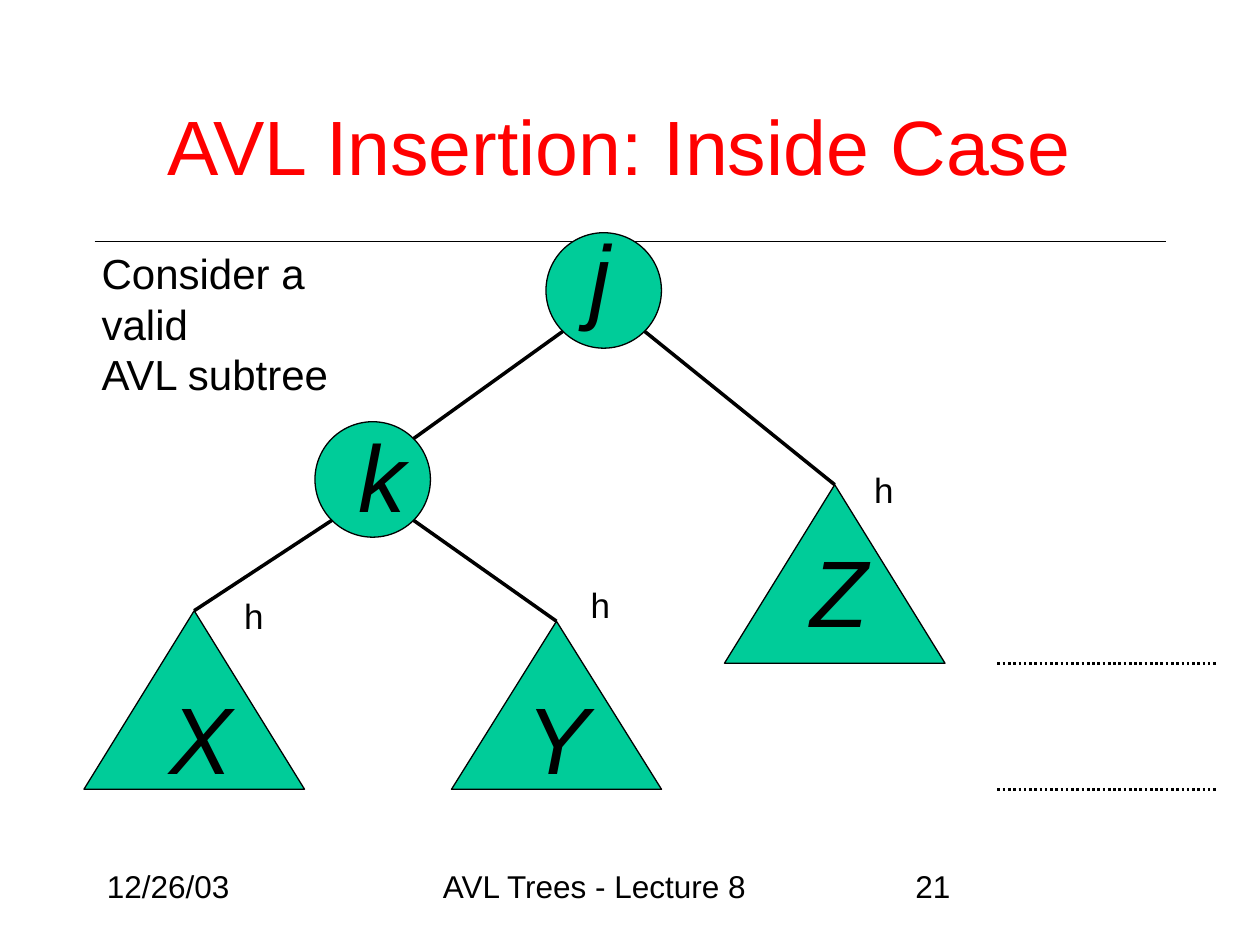
from dataclasses import dataclass
from math import sqrt

from lxml.etree import SubElement
from pptx import Presentation
from pptx.dml.color import RGBColor
from pptx.enum.dml import MSO_LINE
from pptx.enum.shapes import MSO_CONNECTOR, MSO_SHAPE
from pptx.enum.text import MSO_ANCHOR, PP_ALIGN
from pptx.oxml.ns import qn
from pptx.slide import Slide
from pptx.text.text import TextFrame
from pptx.util import Pt

COLORS = {"ink": "000000", "node": "00CC99", "title": "FF0000"}
FONT = "Arial"
Point = tuple[float, float]


@dataclass(frozen=True)
class Part:
    """A tree part: its outline box and the corner of its letter box."""
    letter: str
    left: float
    top: float
    width: float
    height: float
    letter_at: Point


@dataclass(frozen=True)
class Node(Part):
    preset = MSO_SHAPE.OVAL

    def corner(self, across: int, down: int) -> Point:
        """Point on the circle along a diagonal; each direction is -1 or 1."""
        reach = self.width / 2 / sqrt(2)
        return (self.left + self.width / 2 + across * reach,
                self.top + self.height / 2 + down * reach)


@dataclass(frozen=True)
class Subtree(Part):
    height_at: Point
    preset = MSO_SHAPE.ISOSCELES_TRIANGLE

    @property
    def apex(self) -> Point:
        return self.left + self.width / 2, self.top

    @property
    def base(self) -> float:
        return self.top + self.height


@dataclass(frozen=True)
class Label:
    text: str
    left: float
    top: float
    width: float
    height: float
    size: float
    italic: bool = False
    wrap: bool = True


def rgb(color: str) -> RGBColor:
    return RGBColor.from_string(COLORS[color])


def format_text(frame: TextFrame, size: float, color: str = "ink",
                italic: bool = False) -> None:
    for paragraph in frame.paragraphs:
        for run in paragraph.runs:
            run.font.name = FONT
            run.font.size = Pt(size)
            run.font.italic = italic
            run.font.color.rgb = rgb(color)


def draw_label(slide: Slide, label: Label) -> None:
    box = slide.shapes.add_textbox(Pt(label.left), Pt(label.top),
                                   Pt(label.width), Pt(label.height))
    box.text_frame.word_wrap = label.wrap
    box.text_frame.text = label.text
    format_text(box.text_frame, label.size, italic=label.italic)


def draw_part(slide: Slide, part: Node | Subtree) -> None:
    outline = slide.shapes.add_shape(part.preset, Pt(part.left), Pt(part.top),
                                     Pt(part.width), Pt(part.height))
    outline.shadow.inherit = False
    outline.fill.solid()
    outline.fill.fore_color.rgb = rgb("node")
    outline.line.color.rgb = rgb("ink")
    outline.line.width = Pt(0.75)
    draw_label(slide, Label(part.letter, *part.letter_at, 40, 72, 54, italic=True))


def draw_line(slide: Slide, start: Point, end: Point, width: float,
              dash: MSO_LINE | None = None) -> None:
    line = slide.shapes.add_connector(
        MSO_CONNECTOR.STRAIGHT, *(Pt(length) for length in (*start, *end)))
    line.line.color.rgb = rgb("ink")
    line.line.width = Pt(width)
    if dash is not None:
        line.line.dash_style = dash
    SubElement(line._element.spPr, qn("a:effectLst"))


def draw_title(slide: Slide, text: str) -> None:
    title = slide.shapes.title
    title.left, title.top, title.width, title.height = Pt(52.5), Pt(51), Pt(615.5), Pt(63.5)
    frame = title.text_frame
    frame.text = text
    frame.vertical_anchor = MSO_ANCHOR.MIDDLE
    frame.paragraphs[0].alignment = PP_ALIGN.CENTER
    format_text(frame, 44, "title")


ROOT = Node("j", 312, 133, 66, 66, (330, 121))
CHILD = Node("k", 180, 241, 66, 66, (198, 235.5))
X = Subtree("X", 48, 349, 126, 102, (90, 385), (132.5, 336))
Y = Subtree("Y", 258, 355, 120, 96, (294, 385), (330.5, 330))
Z = Subtree("Z", 414, 277, 126, 102, (456, 301), (492.5, 264))

EDGES = [
    (ROOT.corner(-1, 1), CHILD.corner(1, -1)),
    (ROOT.corner(1, 1), Z.apex),
    (CHILD.corner(-1, 1), X.apex),
    (CHILD.corner(1, 1), Y.apex),
]

CAPTIONS = [
    Label("Consider a valid\nAVL subtree", 51, 138, 160, 65, 24),
    Label("12/26/03", 54, 492, 150, 36, 18),
    Label("AVL Trees - Lecture 8", 246, 492, 228, 36, 18),
    Label("21", 516, 492, 150, 36, 18),
]


def main() -> None:
    prs = Presentation()
    prs.slide_width, prs.slide_height = Pt(720), Pt(540)
    slide = prs.slides.add_slide(prs.slide_layouts[5])

    draw_title(slide, "AVL Insertion: Inside Case ")
    draw_line(slide, (54, 138), (666, 138), 0.75)
    for part in (ROOT, CHILD, X, Y, Z):
        draw_part(slide, part)
    for start, end in EDGES:
        draw_line(slide, start, end, 2)
    for level in (Z.base, X.base):
        draw_line(slide, (570, level), (696, level), 1.5, MSO_LINE.ROUND_DOT)
    for subtree in (X, Y, Z):
        draw_label(slide, Label("h", *subtree.height_at, 25, 31.5, 20, wrap=False))
    for caption in CAPTIONS:
        draw_label(slide, caption)

    prs.save("out.pptx")


if __name__ == "__main__":
    main()
